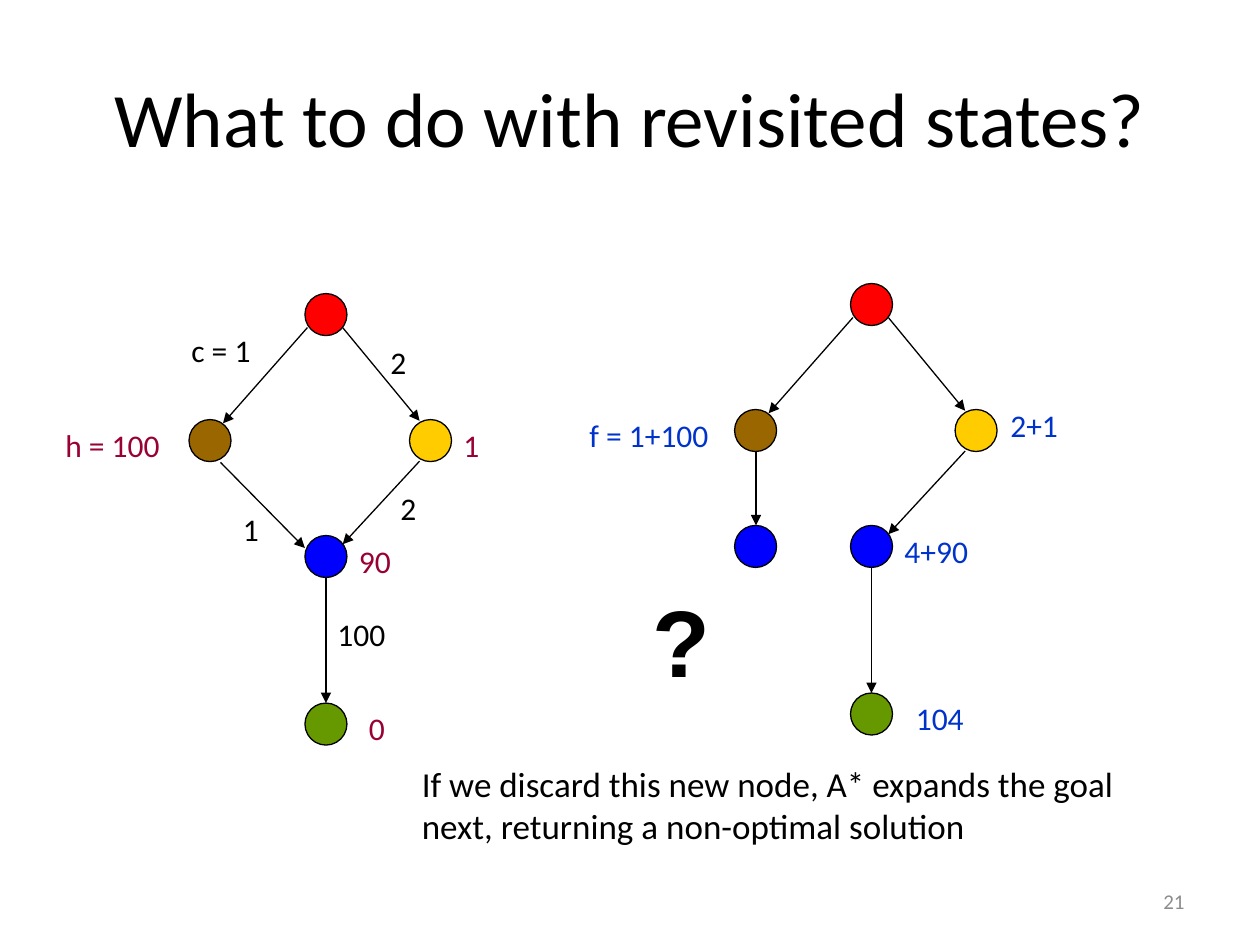
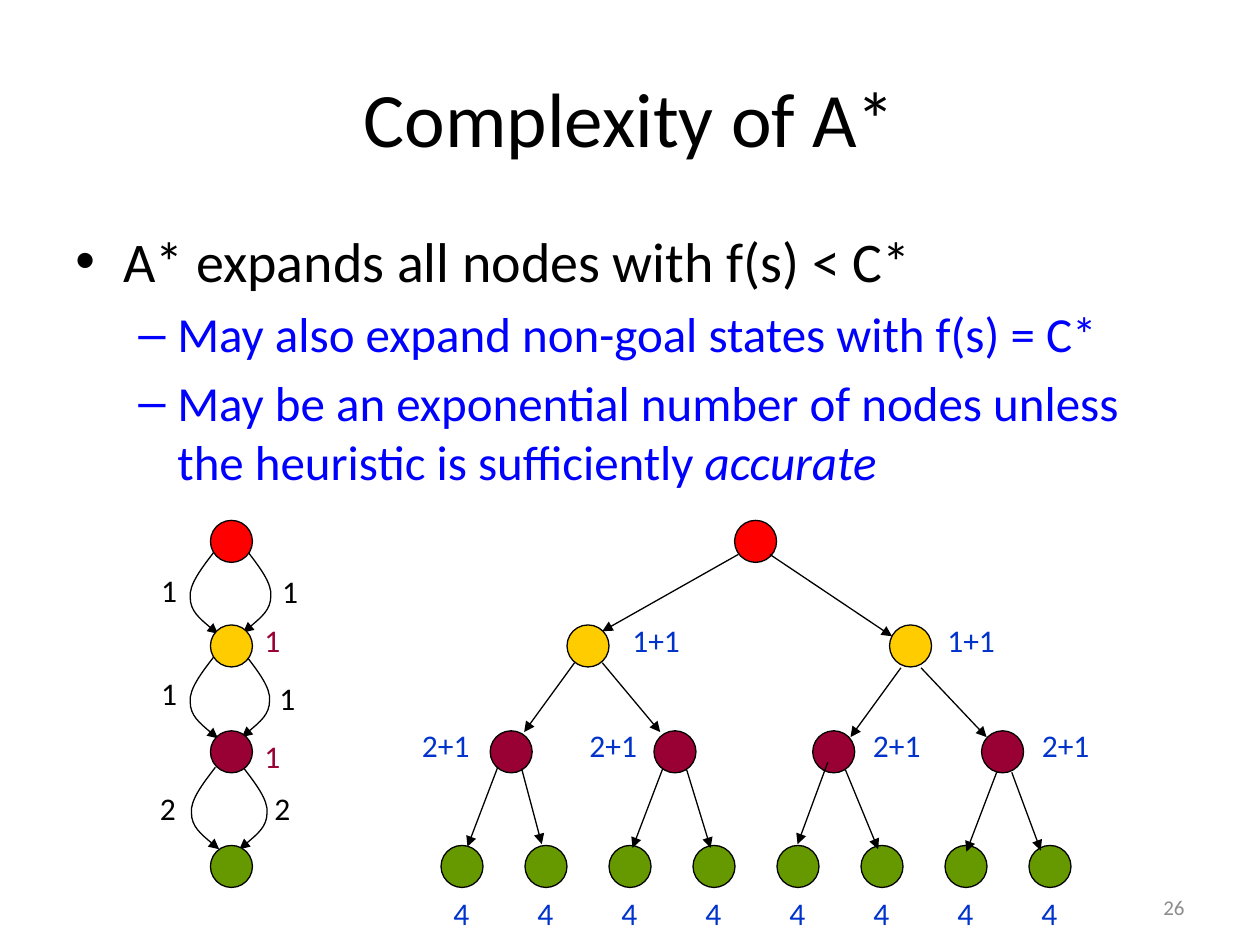
from dataclasses import dataclass

from lxml import etree
from pptx import Presentation
from pptx.dml.color import RGBColor
from pptx.enum.shapes import MSO_CONNECTOR, MSO_SHAPE
from pptx.enum.text import MSO_ANCHOR, MSO_AUTO_SIZE, PP_ALIGN
from pptx.oxml.ns import qn
from pptx.util import Inches, Pt

STRAIGHT = MSO_CONNECTOR.STRAIGHT
ELLIPSE = MSO_SHAPE.OVAL
MIDDLE, TOP = MSO_ANCHOR.MIDDLE, MSO_ANCHOR.TOP
GROW, NO_FIT = MSO_AUTO_SIZE.SHAPE_TO_FIT_TEXT, MSO_AUTO_SIZE.NONE
LEFT, CENTER, RIGHT = PP_ALIGN.LEFT, PP_ALIGN.CENTER, PP_ALIGN.RIGHT


@dataclass(frozen=True)
class Theme:
    font: str = "Calibri"
    mark_font: str = "Arial"
    black: str = "000000"
    page_grey: str = "8C8C8C"
    red: str = "FF0000"
    brown: str = "996600"
    blue: str = "0000FF"
    yellow: str = "FFCC00"
    green: str = "669900"
    crimson: str = "990033"
    cost_blue: str = "0033CC"
    title_size: float = 44
    bullet_size: float = 32
    sub_bullet_size: float = 28
    note_size: float = 20
    label_size: float = 18
    page_size: float = 12
    mark_size: float = 54
    line_width: float = 0.75
    node_size: float = 1 / 3


THEME = Theme()


def write(paragraph, text, *, size, color=THEME.black, font=THEME.font,
          bold=False, italic=False, align=LEFT):
    paragraph.alignment = align
    run = paragraph.add_run()
    run.text = text
    run.font.size = Pt(size)
    run.font.name = font
    run.font.bold = bold
    run.font.italic = italic
    run.font.color.rgb = RGBColor.from_string(color)


def add_frame(slide, left, top, width, height, *, wrap=True, fit=NO_FIT, anchor=TOP):
    box = slide.shapes.add_textbox(Inches(left), Inches(top), Inches(width), Inches(height))
    frame = box.text_frame
    frame.word_wrap = wrap
    frame.auto_size = fit
    frame.vertical_anchor = anchor
    return frame


def add_title(slide, text):
    frame = add_frame(slide, 0.5, 0.3, 9, 1.25, anchor=MIDDLE)
    write(frame.paragraphs[0], text, size=THEME.title_size, align=CENTER)


def add_page_number(slide, number, top):
    frame = add_frame(slide, 7.17, top, 2.33, 0.4, anchor=MIDDLE)
    write(frame.paragraphs[0], number, size=THEME.page_size,
          color=THEME.page_grey, align=RIGHT)


def add_label(slide, text, left, top, color=THEME.black, width=None):
    width = width or 0.2 + 0.13 * len(text)
    frame = add_frame(slide, left, top, width, 0.4, wrap=False, fit=GROW)
    write(frame.paragraphs[0], text, size=THEME.label_size, color=color)


def add_node(slide, left, top, color):
    size = Inches(THEME.node_size)
    node = slide.shapes.add_shape(ELLIPSE, Inches(left), Inches(top), size, size)
    node.shadow.inherit = False
    node.fill.solid()
    node.fill.fore_color.rgb = RGBColor.from_string(color)
    style_line(node.line)


def style_line(line):
    line.width = Pt(THEME.line_width)
    line.color.rgb = RGBColor.from_string(THEME.black)


def add_arrowhead(edge):
    outline = edge._element.spPr.find(qn("a:ln"))
    etree.SubElement(outline, qn("a:tailEnd"), type="triangle")


def add_arrow(slide, x1, y1, x2, y2):
    edge = slide.shapes.add_connector(STRAIGHT, Inches(x1), Inches(y1), Inches(x2), Inches(y2))
    style_line(edge.line)
    add_arrowhead(edge)
    etree.SubElement(edge._element.spPr, qn("a:effectLst"))


def bend_segments(curve):
    outline = next(curve._element.iter(qn("a:path")))
    segments = outline.findall(qn("a:lnTo"))
    for start in range(0, len(segments), 3):
        bend = etree.SubElement(outline, qn("a:cubicBezTo"))
        for segment in segments[start:start + 3]:
            bend.append(segment[0])
            outline.remove(segment)


def add_curved_arrow(slide, x, y, side):
    offsets = [(0.1, 0.13), (0.2, 0.26), (0.19, 0.36),
               (0.19, 0.47), (0.08, 0.56), (-0.03, 0.65)]
    points = [(Inches(x + side * dx), Inches(y + dy)) for dx, dy in offsets]
    builder = slide.shapes.build_freeform(Inches(x), Inches(y))
    builder.add_line_segments(points, close=False)
    curve = builder.convert_to_shape()
    bend_segments(curve)
    curve.fill.background()
    curve.shadow.inherit = False
    style_line(curve.line)
    add_arrowhead(curve)


def add_bullet(paragraph, runs, *, symbol, margin, hanging, size, color, level=0):
    paragraph.level = level
    paragraph.space_before = Pt(size * 0.2)
    for text, italic in runs:
        write(paragraph, text, size=size, color=color, italic=italic)
    properties = paragraph._p.get_or_add_pPr()
    properties.set("marL", str(Inches(margin)))
    properties.set("indent", str(-Inches(hanging)))
    etree.SubElement(properties, qn("a:buFont"), typeface="Arial")
    etree.SubElement(properties, qn("a:buChar"), char=symbol)


def add_search_graph(slide, left, top):
    nodes = [(0, 0, THEME.red), (-0.92, 1, THEME.brown), (0.83, 1, THEME.yellow),
             (0, 1.92, THEME.blue), (0, 3.25, THEME.green)]
    middle = THEME.node_size / 2
    edges = [(0.02, 0.27, -0.65, 1.03), (0.3, 0.27, 0.91, 1.01),
             (0.91, 1.33, 0.3, 1.99), (middle, 2.25, middle, 3.25)]
    for dx, dy, color in nodes:
        add_node(slide, left + dx, top + dy, color)
    for x1, y1, x2, y2 in edges:
        add_arrow(slide, left + x1, top + y1, left + x2, top + y2)


def build_revisited_states(slide):
    add_title(slide, "What to do with revisited states?")
    add_page_number(slide, "21", 6.95)

    add_search_graph(slide, 2.42, 2.33)
    add_arrow(slide, 1.75, 3.67, 2.42, 4.35)
    add_label(slide, "c = 1", 1.42, 2.58, width=0.68)
    for cost, left, top in [("100", 2.58, 4.83), ("2", 3.08, 3.83),
                            ("1", 1.83, 4), ("2", 3, 2.67)]:
        add_label(slide, cost, left, top)
    add_label(slide, "h = 100", 0.42, 3.33, THEME.crimson, width=0.96)
    for heuristic, left, top in [("0", 2.83, 5.58), ("90", 2.75, 4.25), ("1", 3.58, 3.33)]:
        add_label(slide, heuristic, left, top, THEME.crimson)

    add_search_graph(slide, 6.75, 2.25)
    add_arrow(slide, 6, 3.58, 6, 4.17)
    add_node(slide, 5.83, 4.17, THEME.blue)
    add_label(slide, "f = 1+100", 4.58, 3.25, THEME.cost_blue, width=1.16)
    for total, left, top in [("104", 7.17, 5.5), ("4+90", 7.08, 4.17), ("2+1", 7.92, 3.17)]:
        add_label(slide, total, left, top, THEME.cost_blue)

    question = add_frame(slide, 5.08, 4.58, 0.66, 1, wrap=False, fit=GROW)
    write(question.paragraphs[0], "?", size=THEME.mark_size, font=THEME.mark_font, bold=True)
    note = add_frame(slide, 3.25, 6, 5.83, 0.77, fit=GROW)
    write(note.paragraphs[0],
          "If we discard this new node, A* expands the goal next, "
          "returning a non-optimal solution", size=THEME.note_size)


def add_state_chain(slide):
    for left_x, right_x, left_y, right_y in [(1.7, 1.96, 4.38, 4.37),
                                             (1.7, 1.95, 5.21, 5.2),
                                             (1.71, 1.93, 6.09, 6.09)]:
        add_curved_arrow(slide, left_x, left_y, -1)
        add_curved_arrow(slide, right_x, right_y, 1)
    for top, color in [(4.13, THEME.red), (4.96, THEME.yellow),
                       (5.8, THEME.crimson), (6.71, THEME.green)]:
        add_node(slide, 1.67, top, color)
    for cost, left, top in [("1", 1.18, 4.48), ("1", 2.14, 4.49), ("1", 1.18, 5.3),
                            ("1", 2.12, 5.34), ("2", 1.17, 6.21), ("2", 2.08, 6.21)]:
        add_label(slide, cost, left, top)
    for top in (4.88, 5.8):
        add_label(slide, "1", 2, top, THEME.crimson)


def add_search_tree(slide):
    leaf_lefts = [3.5 + i * 2 / 3 for i in range(8)]
    levels = [(4.13, THEME.red, [5.83]), (4.96, THEME.yellow, [4.5, 7.06]),
              (5.8, THEME.crimson, [3.89, 5.19, 6.45, 7.79]),
              (6.71, THEME.green, leaf_lefts)]
    for top, color, lefts in levels:
        for left in lefts:
            add_node(slide, left, top, color)

    edges = [
        (5.86, 4.4, 4.78, 5.01), (6.11, 4.4, 7.08, 5.05),
        (4.56, 5.26, 4.16, 5.81), (4.78, 5.26, 5.24, 5.81),
        (7.15, 5.3, 6.75, 5.85), (7.31, 5.3, 7.83, 5.85),
        (3.95, 6.09, 3.71, 6.72), (4.14, 6.1, 4.3, 6.7),
        (5.26, 6.1, 5.02, 6.73), (5.45, 6.11, 5.64, 6.73),
        (6.57, 6.05, 6.33, 6.7), (6.71, 6.11, 6.97, 6.74),
        (7.91, 6.13, 7.67, 6.76), (8.03, 6.13, 8.26, 6.75),
    ]
    for edge in edges:
        add_arrow(slide, *edge)

    totals = [("1+1", 4.88, [4.92, 7.42]), ("2+1", 5.71, [3.25, 4.58, 6.83, 8.17]),
              ("4", 7.05, leaf_lefts)]
    for total, top, lefts in totals:
        for left in lefts:
            add_label(slide, total, left, top, THEME.cost_blue)


def build_complexity(slide):
    add_title(slide, "Complexity of A*")
    body = add_frame(slide, 0.5, 1.75, 9, 2.75)
    add_bullet(body.paragraphs[0], [("A* expands all nodes with f(s) < C*", False)],
               symbol="•", margin=0.38, hanging=0.38,
               size=THEME.bullet_size, color=THEME.black)
    details = [
        [("May also expand non-goal states with f(s) = C*", False)],
        [("May be an exponential number of nodes unless the heuristic is sufficiently ", False),
         ("accurate", True)],
    ]
    for runs in details:
        add_bullet(body.add_paragraph(), runs, symbol="–", margin=0.81, hanging=0.31,
                   size=THEME.sub_bullet_size, color=THEME.blue, level=1)
    add_page_number(slide, "26", 7)
    add_state_chain(slide)
    add_search_tree(slide)


def main():
    deck = Presentation()
    deck.slide_width = Inches(10)
    deck.slide_height = Inches(7.5)
    blank = deck.slide_layouts[6]
    for build in (build_revisited_states, build_complexity):
        build(deck.slides.add_slide(blank))
    deck.save("out.pptx")


if __name__ == "__main__":
    main()
